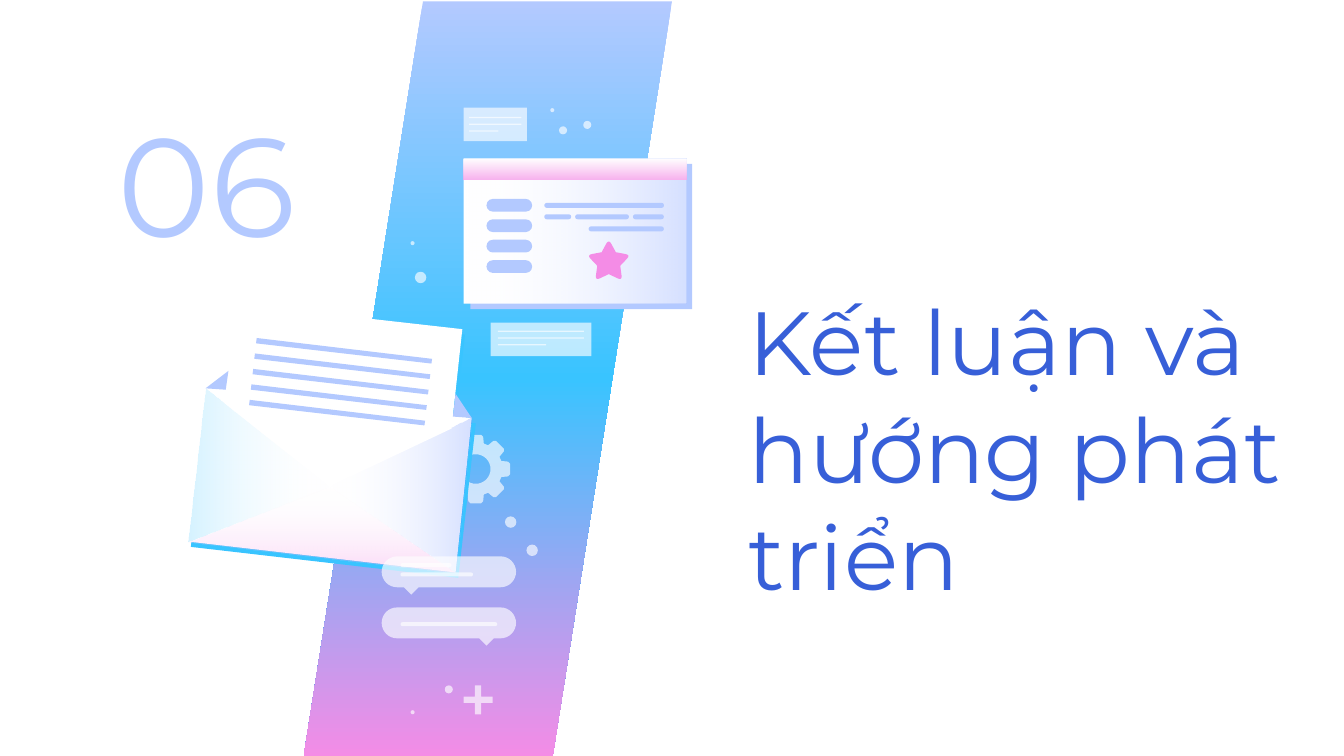
import dataclasses
import math

import lxml.etree
import pptx
import pptx.dml.color
import pptx.enum.shapes
import pptx.enum.text
import pptx.oxml.ns
import pptx.util

SHAPE = pptx.enum.shapes.MSO_SHAPE
ANCHOR = pptx.enum.text.MSO_ANCHOR
qn = pptx.oxml.ns.qn


@dataclasses.dataclass(frozen=True)
class Theme:
    font: str = "Montserrat"
    title_size: int = 48
    number_size: int = 75
    title: str = "375FD8"
    lilac: str = "B3C9FF"
    sky: str = "39C4FF"
    pink: str = "F48CE6"
    blue: str = "4A77FF"
    white: str = "FFFFFF"
    veil: int = 65  # opacity of the floating decorations, percent


def length(inches):
    return pptx.util.Cm(inches * 2.54)


def arc(cx, cy, radius, start, end, steps=16):
    """Points on a circle, with angles in degrees running clockwise."""
    angles = [math.radians(start + (end - start) * i / steps) for i in range(steps + 1)]
    return [(cx + radius * math.cos(a), cy + radius * math.sin(a)) for a in angles]


class Painter:
    def __init__(self, slide, theme):
        self.slide = slide
        self.theme = theme

    def finish(self, shape, color, alpha=100):
        shape.shadow.inherit = False
        shape.line.fill.background()
        shape.fill.solid()
        shape.fill.fore_color.rgb = pptx.dml.color.RGBColor.from_string(color)
        if alpha < 100:
            tint = next(shape.element.spPr.iter(qn("a:srgbClr")))
            lxml.etree.SubElement(tint, qn("a:alpha"), val=str(alpha * 1000))
        return shape

    def gradient(self, shape, stops, angle):
        """Stops are (position, colour, opacity) in percent; angle is clockwise."""
        shape.fill.gradient()
        shape.fill.gradient_angle = -angle % 360
        stop_list = next(shape.element.spPr.iter(qn("a:gsLst")))
        for old in list(stop_list):
            stop_list.remove(old)
        for position, color, alpha in stops:
            stop = lxml.etree.SubElement(stop_list, qn("a:gs"), pos=str(position * 1000))
            tint = lxml.etree.SubElement(stop, qn("a:srgbClr"), val=color)
            lxml.etree.SubElement(tint, qn("a:alpha"), val=str(alpha * 1000))

    def preset(self, kind, x, y, w, h, color, alpha=100, adjust=None):
        shape = self.slide.shapes.add_shape(kind, length(x), length(y), length(w), length(h))
        if adjust is not None:
            shape.adjustments[0] = adjust
        return self.finish(shape, color, alpha)

    def rect(self, x, y, w, h, color, alpha=100):
        return self.preset(SHAPE.RECTANGLE, x, y, w, h, color, alpha)

    def pill(self, x, y, w, h, color, alpha=100):
        return self.preset(SHAPE.ROUNDED_RECTANGLE, x, y, w, h, color, alpha, 0.5)

    def dot(self, cx, cy, size):
        self.preset(SHAPE.OVAL, cx - size / 2, cy - size / 2, size, size,
                    self.theme.white, self.theme.veil)

    def outline(self, contours, color, alpha=100):
        contours = [[(length(x), length(y)) for x, y in c] for c in contours]
        builder = self.slide.shapes.build_freeform(*contours[0][0])
        for index, contour in enumerate(contours):
            if index:
                builder.move_to(*contour[0])
            builder.add_line_segments(contour[1:], close=True)
        return self.finish(builder.convert_to_shape(), color, alpha)

    def bubble(self, y, tail_x):
        """Speech bubble with its tail pointing down at tail_x."""
        left, right, r, half = 2.84, 3.84, 0.115, 0.055
        base = y + 2 * r
        tail = [(tail_x + half, base), (tail_x, base + half), (tail_x - half, base)]
        points = (arc(right - r, y + r, r, -90, 90) + tail
                  + arc(left + r, y + r, r, 90, 270))
        self.outline([points], self.theme.white, self.theme.veil)

    def note(self, x, y, w, margin, first_line):
        """Translucent card with two long lines and a short one."""
        white, veil = self.theme.white, self.theme.veil
        self.rect(x, y, w, 0.25, white, veil)
        full = w - 2 * margin
        for row, share in enumerate((1, 1, 0.56)):
            self.rect(x + margin, y + first_line + 0.05 * row, full * share, 0.01, white, veil)

    def gear(self, cx, cy):
        rim = []
        for tooth in range(8):
            a = math.radians(45 * tooth)
            for radial, side in ((0.19, -0.06), (0.24, -0.055), (0.255, -0.04),
                                 (0.255, 0.04), (0.24, 0.055), (0.19, 0.06)):
                rim.append((cx + radial * math.cos(a) - side * math.sin(a),
                            cy + radial * math.sin(a) + side * math.cos(a)))
        self.outline([rim, arc(cx, cy, 0.11, 360, 0, 32)], self.theme.white, self.theme.veil)

    def star(self, cx, cy, outer, inner, rounding):
        corners = [arc(cx, cy, outer if i % 2 == 0 else inner, 36 * i - 90, 0, 1)[0]
                   for i in range(10)]
        points = []
        for i in range(0, 10, 2):
            tip, valley = corners[i], corners[i + 1]
            start, end = [tuple(t + (n - t) * rounding for t, n in zip(tip, near))
                          for near in (corners[i - 1], valley)]
            for t in (0, 0.2, 0.4, 0.6, 0.8, 1):
                points.append(tuple((1 - t) ** 2 * s + 2 * t * (1 - t) * m + t * t * e
                                    for s, m, e in zip(start, tip, end)))
            points.append(valley)
        self.outline([points], self.theme.pink)

    def text(self, x, y, w, h, words, size, color, anchor):
        frame = self.slide.shapes.add_textbox(
            length(x), length(y), length(w), length(h)).text_frame
        frame.word_wrap = True
        frame.vertical_anchor = anchor
        frame.margin_left = frame.margin_right = length(0.1)
        frame.margin_top = frame.margin_bottom = length(0.1)
        run = frame.paragraphs[0].add_run()
        run.text = words
        run.font.name = self.theme.font
        run.font.size = pptx.util.Pt(size)
        run.font.color.rgb = pptx.dml.color.RGBColor.from_string(color)


def main():
    deck = pptx.Presentation()
    deck.slide_width, deck.slide_height = length(10), length(5.625)
    theme = Theme()
    p = Painter(deck.slides.add_slide(deck.slide_layouts[6]), theme)
    white, lilac, veil = theme.white, theme.lilac, theme.veil

    # Slanted band and headings
    band = p.preset(SHAPE.PARALLELOGRAM, 2.26, 0.01, 2.74, 5.62, lilac, adjust=0.324)
    p.gradient(band, [(0, lilac, 100), (50, theme.sky, 100), (100, theme.pink, 100)], 90)
    p.text(5.47, 2.81, 4.31, 1.82, "Kết luận và hướng phát triển",
           theme.title_size, theme.title, ANCHOR.BOTTOM)
    p.text(0.78, 0.59, 1.7, 1.52, "06", theme.number_size, lilac, ANCHOR.MIDDLE)

    # Gear and lower speech bubble
    p.gear(3.54, 3.49)
    p.bubble(4.52, 3.62)
    p.pill(2.98, 4.63, 0.72, 0.03, white, veil)

    # Envelope
    top_left, bottom_left = (1.53, 2.89), (1.4, 4.03)
    bottom_right, top_right, center = (3.39, 4.26), (3.51, 3.11), (2.45, 3.62)
    p.outline([[(1.78, 2.3), (1.7, 2.94), (1.55, 2.93), (1.42, 4.07),
                (3.41, 4.3), (3.54, 3.15), (3.39, 3.14), (3.46, 2.49)]], theme.sky)
    p.outline([[top_left, bottom_left, bottom_right, top_right]], white)
    for start, end, tint, alpha, angle in (
            (top_left, bottom_left, theme.sky, 21, 180),
            (top_right, bottom_right, theme.blue, 23, 0),
            (bottom_left, bottom_right, theme.pink, 33, 90)):
        flap = p.outline([[start, end, center]], white)
        p.gradient(flap, [(0, white, 0), (100, tint, alpha)], angle)

    # Letter, its lines and the folded corners
    p.outline([[(1.76, 2.26), (1.67, 3), center, (3.36, 3.19), (3.44, 2.45)]], white)
    p.outline([[(1.7, 2.76), top_left, (1.68, 2.9)]], lilac)
    for row in range(5):
        x, y = 1.91 - 0.013 * row, 2.515 + 0.115 * row
        p.outline([[(x, y), (x - 0.005, y + 0.04),
                    (x + 1.3, y + 0.19), (x + 1.305, y + 0.155)]], lilac)
    p.outline([[(3.39, 2.93), (3.37, 3.1), top_right]], lilac)

    # Upper speech bubble
    p.bubble(4.14, 3.06)
    for y, width in ((4.26, 0.54), (4.19, 0.38)):
        p.pill(2.98, y, width, 0.03, white, veil)

    # Browser window
    p.rect(3.5, 1.22, 1.65, 1.08, lilac)
    window = (3.45, 1.18, 1.66, 1.08)
    p.rect(*window, white)
    p.gradient(p.rect(*window, white), [(0, white, 0), (100, theme.blue, 23)], 0)
    title_bar = (3.45, 1.18, 1.66, 0.16)
    p.rect(*title_bar, white)
    for row in range(4):
        p.pill(3.62, 1.48 + 0.152 * row, 0.34, 0.095, lilac)
    for x, y, width in ((4.05, 1.51, 0.89), (4.38, 1.685, 0.56),
                        (4.71, 1.595, 0.23), (4.28, 1.595, 0.4), (4.05, 1.595, 0.2)):
        p.pill(x, y, width, 0.037, lilac)
    p.star(4.53, 1.95, 0.17, 0.09, 0.35)
    p.gradient(p.rect(*title_bar, white), [(0, white, veil), (100, theme.pink, veil)], 90)

    # Floating notes, dots and plus sign
    p.note(3.65, 2.4, 0.75, 0.055, 0.06)
    p.note(3.45, 0.8, 0.47, 0.04, 0.07)
    for cx, cy, size in ((3.8, 3.885, 0.085), (3.96, 4.095, 0.085), (4.37, 0.93, 0.06),
                         (4.11, 0.82, 0.03), (4.19, 0.97, 0.06), (3.07, 1.81, 0.03),
                         (3.13, 2.065, 0.085), (3.34, 5.13, 0.06), (3.07, 5.3, 0.03)):
        p.dot(cx, cy, size)
    p.preset(SHAPE.CROSS, 3.45, 5.1, 0.215, 0.215, white, veil, 0.39)

    deck.save("out.pptx")


if __name__ == "__main__":
    main()
